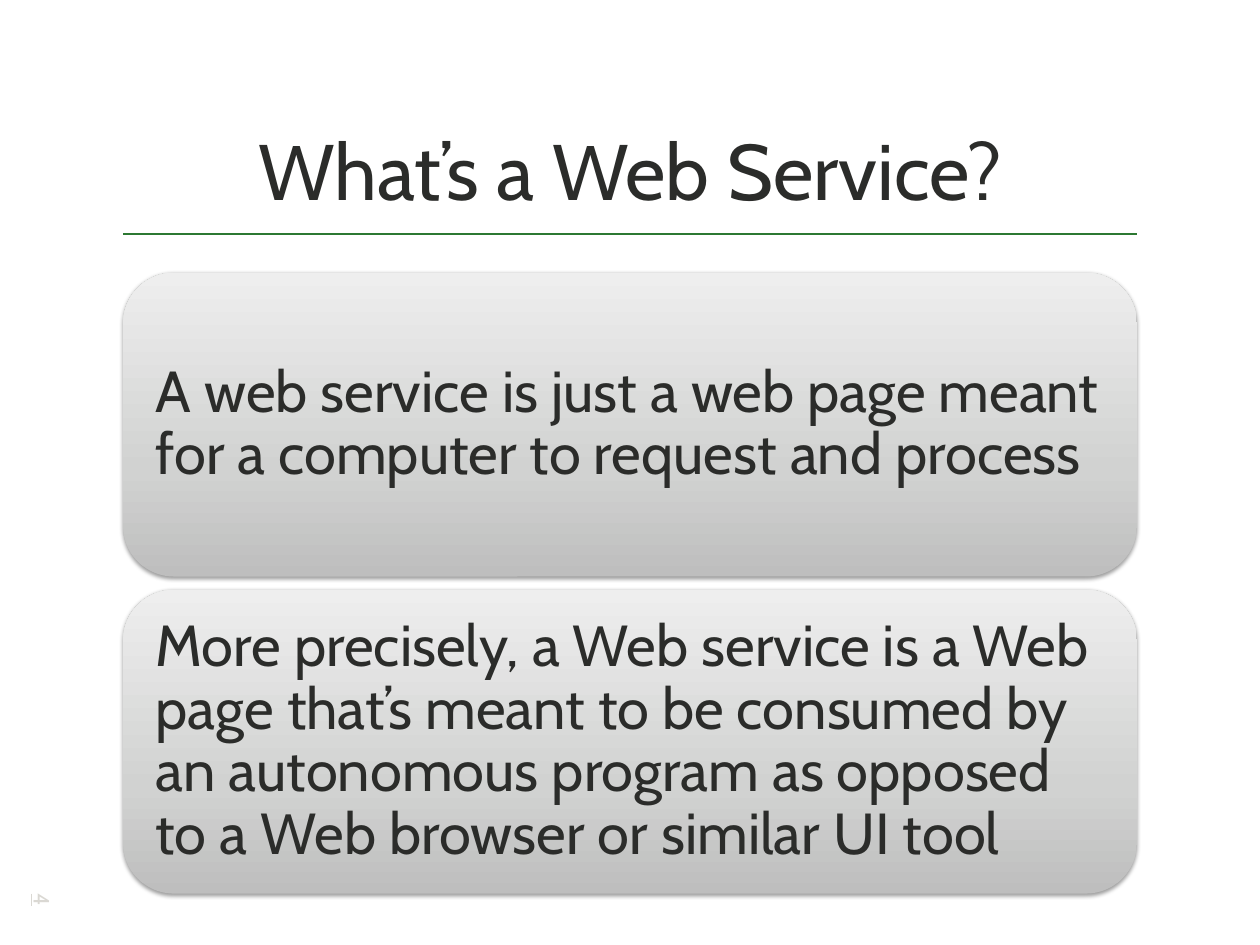
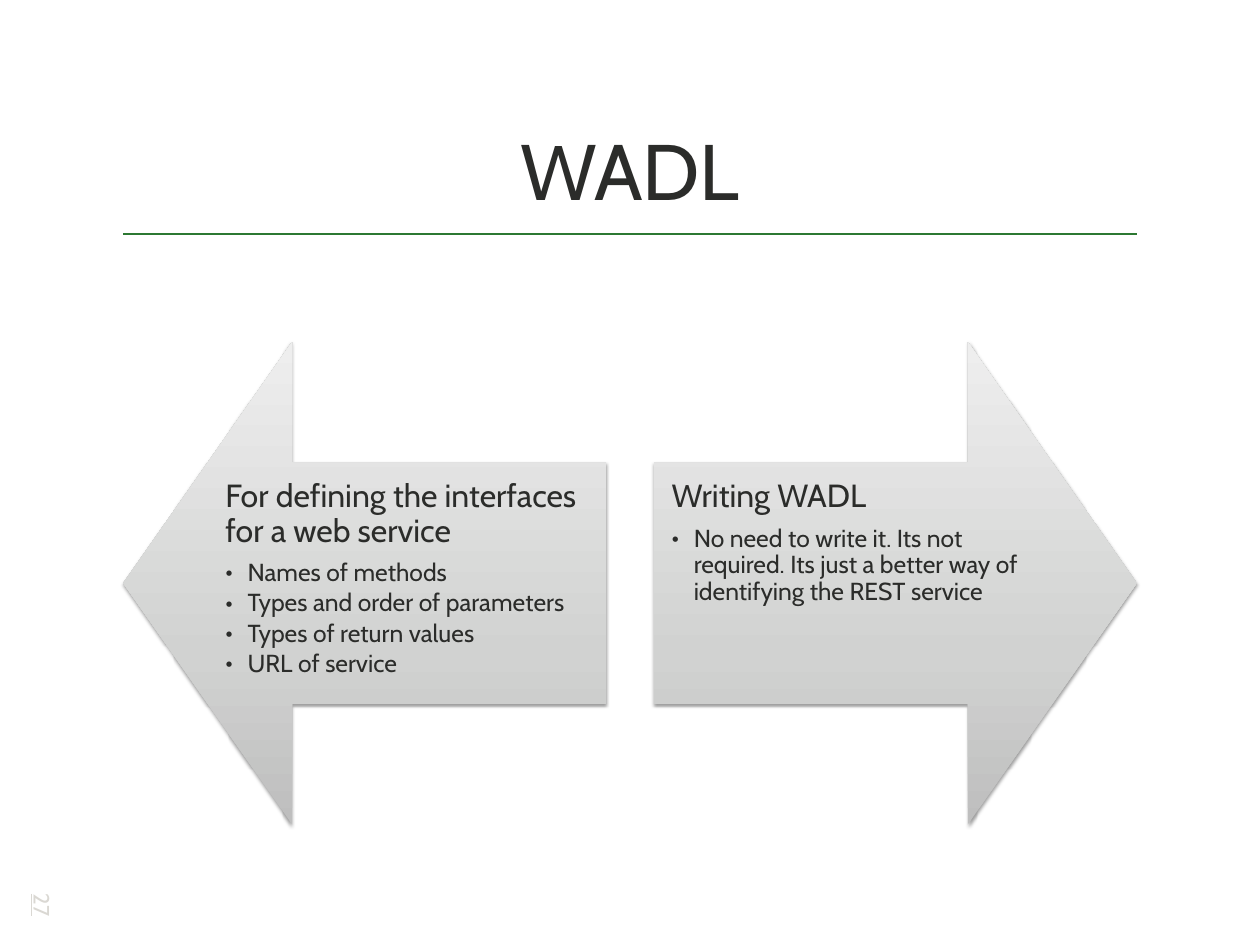
from copy import deepcopy
from dataclasses import dataclass

from lxml import etree
from pptx import Presentation
from pptx.dml.color import RGBColor
from pptx.enum.shapes import MSO_CONNECTOR, MSO_SHAPE
from pptx.enum.text import MSO_ANCHOR, MSO_AUTO_SIZE, PP_ALIGN
from pptx.oxml.ns import qn
from pptx.util import Inches, Pt

BOX, LEFT, RIGHT = MSO_SHAPE.ROUNDED_RECTANGLE, MSO_SHAPE.LEFT_ARROW, MSO_SHAPE.RIGHT_ARROW
TOP, MIDDLE, BOTTOM = MSO_ANCHOR.TOP, MSO_ANCHOR.MIDDLE, MSO_ANCHOR.BOTTOM


@dataclass(frozen=True)
class Theme:
    font: str = "Cabin"
    ink: str = "2B2C2A"
    rule: str = "2C7832"
    page: str = "DAD8D3"
    grad: tuple = ((0, "BEBEBE"), (0.35, "D1D2D1"), (1, "EEEEEE"))
    title_size: int = 64
    text_size: int = 47
    head_size: int = 26
    point_size: int = 20
    page_size: int = 18


THEME = Theme()
EDGE, WIDE = 1.39, 11.44
BOX_TOP, BOX_HIGH, BOX_STEP = 3.08, 3.43, 3.58
ARROW_TOP, ARROW = 3.86, 5.45

SLIDES = [
    ("What’s a Web Service?", "4", BOX, [
        ("A web service is just a web page meant for a computer to request and process", []),
        ("More precisely, a Web service is a Web page that’s meant to be consumed by an "
         "autonomous program as opposed to a Web browser or similar UI tool", []),
    ]),
    ("WADL", "27", LEFT, [
        ("For defining the interfaces for a web service",
         ["Names of methods", "Types and order of parameters",
          "Types of return values", "URL of service"]),
        ("Writing WADL",
         ["No need to write it. Its not required. Its just a better way of "
          "identifying the REST service"]),
    ]),
]


def style(par, size, color=THEME.ink):
    font = par.font
    font.name, font.size = THEME.font, Pt(size)
    font.color.rgb = RGBColor.from_string(color)


def add_panel(slide, kind, place):
    """Add a grey shape with a vertical gradient and a soft shadow below."""
    panel = slide.shapes.add_shape(kind, *map(Inches, place))
    panel.line.fill.background()
    fill = panel.fill
    fill.gradient()
    fill.gradient_angle = 90
    stops = panel.element.spPr.find(".//" + qn("a:gsLst"))
    stops.append(deepcopy(stops[0]))
    for stop, (pos, color) in zip(fill.gradient_stops, THEME.grad):
        stop.position = pos
        stop.color.rgb = RGBColor.from_string(color)
    panel.shadow.inherit = False
    effect = panel.element.spPr.find(qn("a:effectLst"))
    shade = etree.SubElement(effect, qn("a:outerShdw"), blurRad=str(Pt(3.1)),
                             dist=str(Pt(1.6)), dir="5400000", rotWithShape="0")
    black = etree.SubElement(shade, qn("a:srgbClr"), val="000000")
    etree.SubElement(black, qn("a:alpha"), val="38000")
    return panel


deck = Presentation()
deck.slide_width, deck.slide_height = Inches(14.22), Inches(10.67)
layout = deck.slide_layouts[5]
head = layout.placeholders[0]
head.left, head.top = Inches(EDGE), Inches(0.28)
head.width, head.height = Inches(WIDE), Inches(2.22)

for name, page, kind, parts in SLIDES:
    slide = deck.slides.add_slide(layout)

    rule = slide.shapes.add_connector(
        MSO_CONNECTOR.STRAIGHT, Inches(EDGE), Inches(2.64), Inches(EDGE + WIDE), Inches(2.64))
    rule.line.color.rgb = RGBColor.from_string(THEME.rule)
    rule.line.width = Pt(2)
    etree.SubElement(rule.element.spPr, qn("a:effectLst"))

    title = slide.shapes.title
    frame = title.text_frame
    frame.text = name
    frame.auto_size = MSO_AUTO_SIZE.NONE
    frame.vertical_anchor = BOTTOM
    frame.margin_left = frame.margin_right = Inches(0.06)
    frame.margin_top = frame.margin_bottom = Inches(0.06)
    frame.paragraphs[0].alignment = PP_ALIGN.CENTER
    style(frame.paragraphs[0], THEME.title_size)

    label = slide.shapes.add_textbox(Inches(0.28), Inches(10), Inches(0.41), Inches(0.39))
    label.rotation = 90
    label.text_frame.word_wrap = True
    label.text_frame.margin_right = 0
    par = label.text_frame.paragraphs[0]
    par.text = page
    style(par, THEME.page_size, THEME.page)
    par.font.underline = True

    for i, (lead, points) in enumerate(parts):
        if kind == BOX:
            panel = add_panel(slide, BOX, (EDGE, BOX_TOP + i * BOX_STEP, WIDE, BOX_HIGH))
            size, anchor = THEME.text_size, MIDDLE
        else:
            left = EDGE + i * (WIDE - ARROW)
            panel = add_panel(slide, (LEFT, RIGHT)[i], (left, ARROW_TOP, ARROW, ARROW))
            panel.adjustments[0], panel.adjustments[1] = 0.5, 0.35
            size, anchor = THEME.head_size, TOP

        frame = panel.text_frame
        frame.word_wrap = True
        frame.vertical_anchor = anchor
        frame.margin_left = frame.margin_right = Inches(0.2)
        frame.margin_top = frame.margin_bottom = Inches(0.2)
        par = frame.paragraphs[0]
        par.text = lead
        par.alignment = PP_ALIGN.LEFT
        par.line_spacing = 0.9
        style(par, size)
        if points:
            par.space_after = Pt(9)
        for point in points:
            par = frame.add_paragraph()
            par.text = point
            par.level = 1
            par.alignment = PP_ALIGN.LEFT
            par.line_spacing = 0.9
            par.space_after = Pt(3)
            style(par, THEME.point_size)
            props = par._p.get_or_add_pPr()
            props.set("marL", str(Inches(0.25)))
            props.set("indent", str(Inches(-0.25)))
            face = etree.Element(qn("a:buFont"), typeface=THEME.font)
            props.find(qn("a:spcAft")).addnext(face)
            face.addnext(etree.Element(qn("a:buChar"), char="•"))

deck.save("out.pptx")
